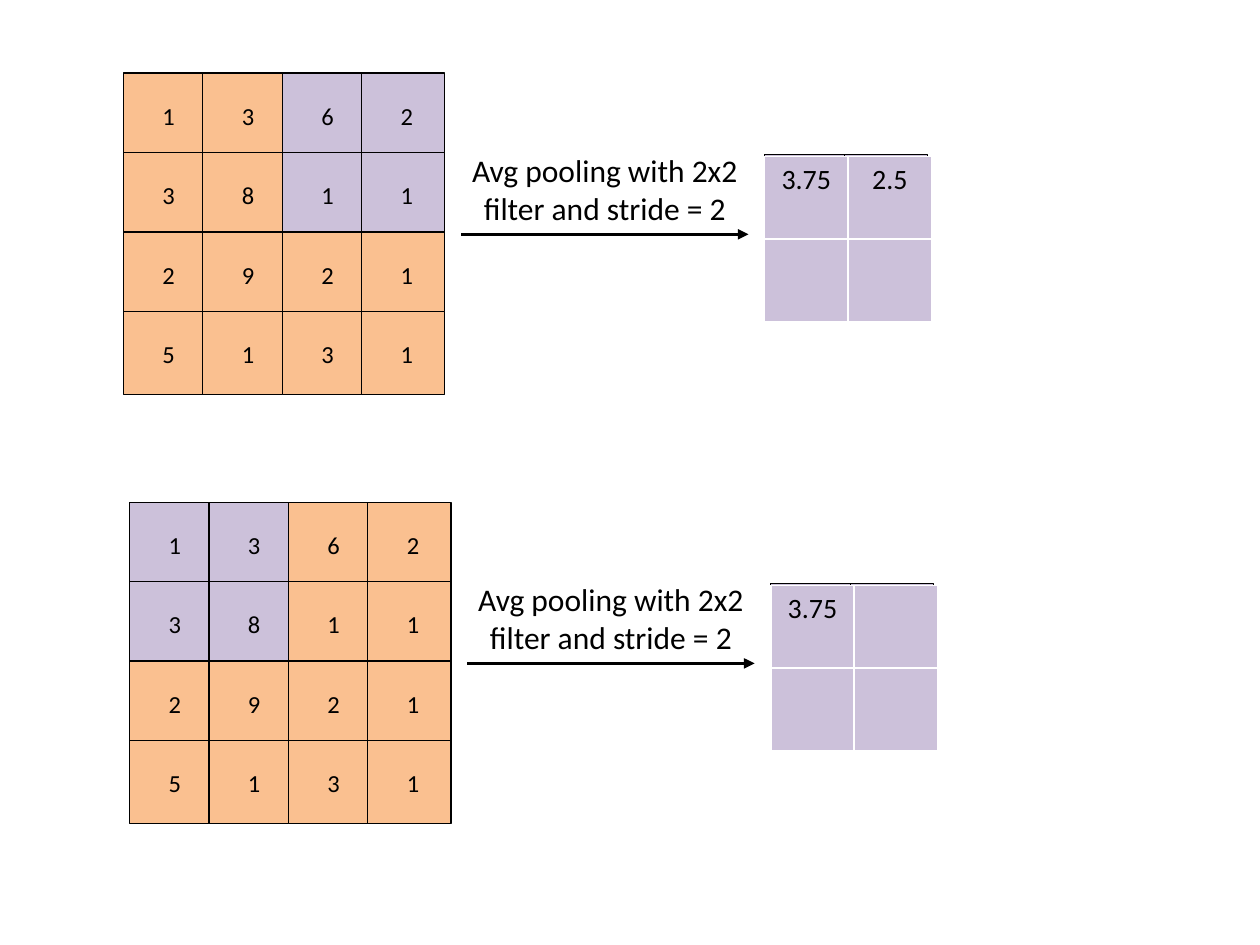
from pptx import Presentation
from pptx.dml.color import RGBColor
from pptx.enum.shapes import MSO_CONNECTOR as CONN, MSO_SHAPE as SHAPE
from pptx.enum.text import MSO_ANCHOR as ANCHOR, PP_ALIGN as ALIGN
from pptx.oxml.ns import qn
from pptx.util import Pt
from lxml.etree import SubElement

ORANGE = RGBColor(0xFA, 0xC0, 0x90)
PURPLE = RGBColor(0xCC, 0xC1, 0xDA)
BLACK = RGBColor(0, 0, 0)

CELL, PITCH = 47.5, 45.4
VALUES = [[1, 3, 6, 2], [3, 8, 1, 1], [2, 9, 2, 1], [5, 1, 3, 1]]

# left, top, first column of the highlighted 2x2 window, pooled values
STEPS = [
    (70.5, 41.8, 2, ["3.75", "2.5"]),
    (74, 287, 0, ["3.75"]),
]


def write(tf, text, size=14, font="Calibri", color=BLACK, align=ALIGN.CENTER):
    p = tf.paragraphs[0]
    p.alignment = align
    r = p.add_run()
    r.text = text
    r.font.size = Pt(size)
    r.font.name = font
    r.font.color.rgb = color


def add_square(left, top, fill):
    sp = s.shapes.add_shape(SHAPE.RECTANGLE, Pt(left), Pt(top), Pt(CELL), Pt(CELL))
    sp.shadow.inherit = False
    sp.fill.solid()
    sp.fill.fore_color.rgb = fill
    sp.line.color.rgb = BLACK
    sp.line.width = Pt(0)
    return sp


prs = Presentation()
prs.slide_width, prs.slide_height = Pt(720), Pt(540)
s = prs.slides.add_slide(prs.slide_layouts[6])

for left, top, window, pooled in STEPS:
    # Input grid with the current pooling window highlighted
    for i, row in enumerate(VALUES):
        for j, value in enumerate(row):
            inside = i < 2 and window <= j < window + 2
            sp = add_square(left + j * PITCH, top + i * PITCH, PURPLE if inside else ORANGE)
            tf = sp.text_frame
            tf.word_wrap = True
            tf.vertical_anchor = ANCHOR.MIDDLE
            tf.margin_left = tf.margin_right = Pt(22.3)
            tf.margin_top, tf.margin_bottom = Pt(4.3), Pt(3.6)
            write(tf, str(value))

    # Squares whose top edge shows above the output table
    for j in range(2):
        add_square(left + 366.5 + j * PITCH, top + 46.6, PURPLE)

    # Arrow and its label
    y = Pt(top + 92.1)
    arrow = s.shapes.add_connector(CONN.STRAIGHT, Pt(left + 193), y, Pt(left + 357.2), y)
    arrow.line.color.rgb = BLACK
    arrow.line.width = Pt(2)
    SubElement(arrow.line._get_or_add_ln(), qn("a:tailEnd"), type="triangle")
    SubElement(arrow._element.spPr, qn("a:effectLst"))

    label = s.shapes.add_textbox(Pt(left + 187.3), Pt(top + 41), Pt(175.7), Pt(51))
    label.text_frame.word_wrap = True
    write(label.text_frame, "Avg pooling with 2x2 filter and stride = 2", size=18)

    # Output table
    table = s.shapes.add_table(2, 2, Pt(left + 366.5), Pt(top + 47.5), Pt(95.5), Pt(94.5)).table
    table.first_row = table.horz_banding = False
    table.columns[0].width, table.columns[1].width = Pt(47.5), Pt(48)
    for row in table.rows:
        row.height = Pt(47.25)
    for cell in table.iter_cells():
        cell.fill.solid()
        cell.fill.fore_color.rgb = PURPLE
    for j, value in enumerate(pooled):
        write(table.cell(0, j).text_frame, value, size=16)

prs.save("out.pptx")
